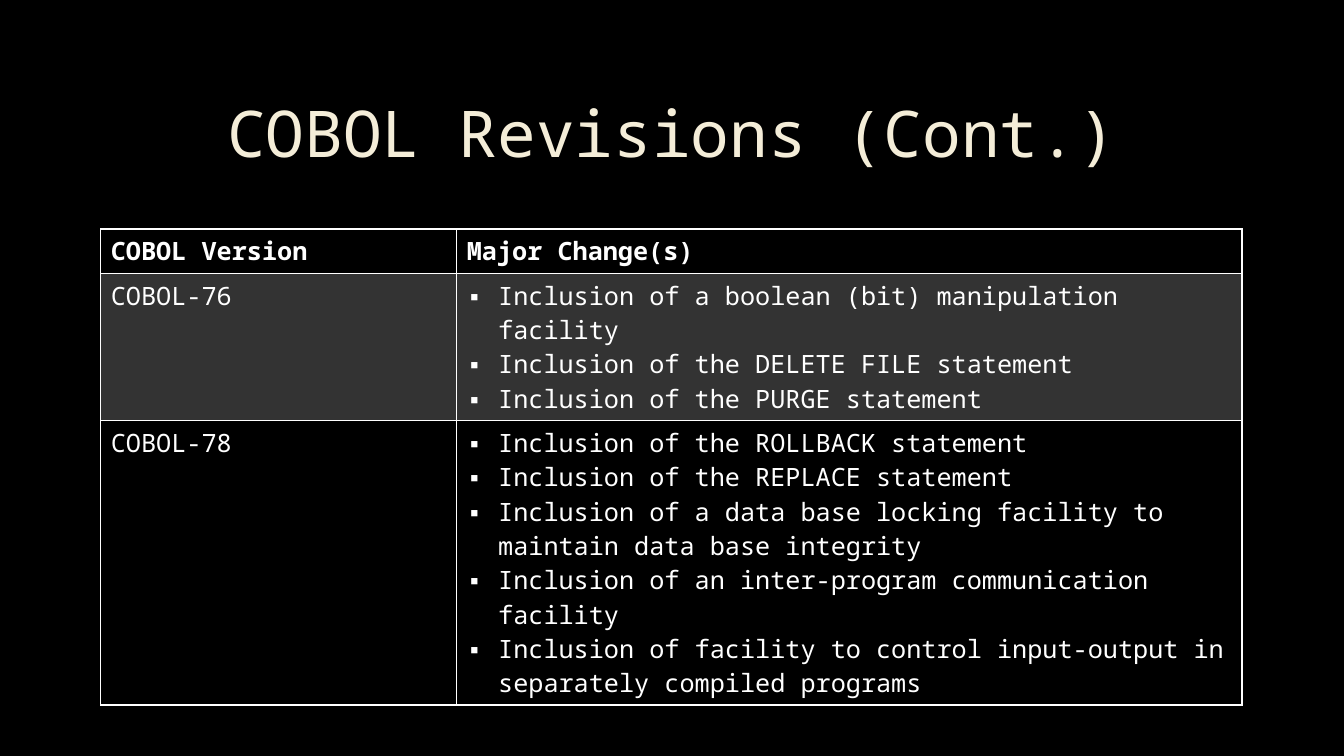
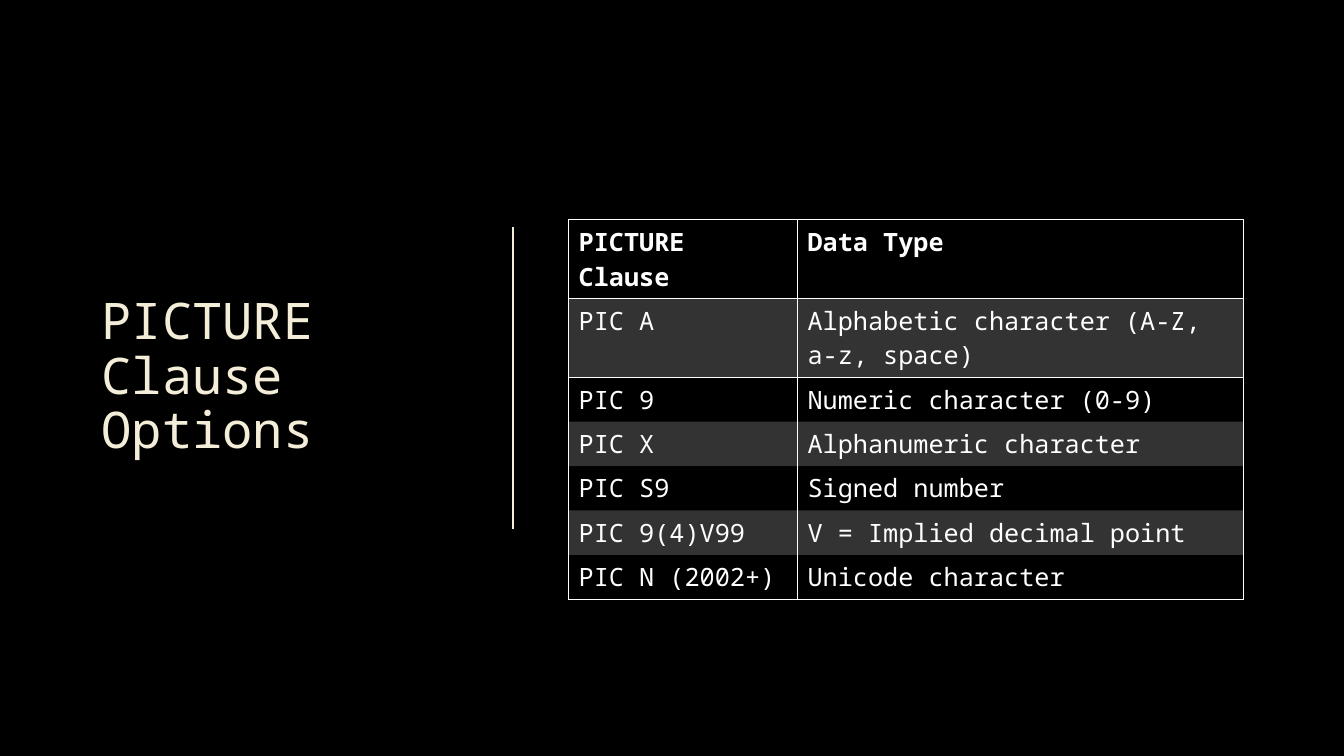
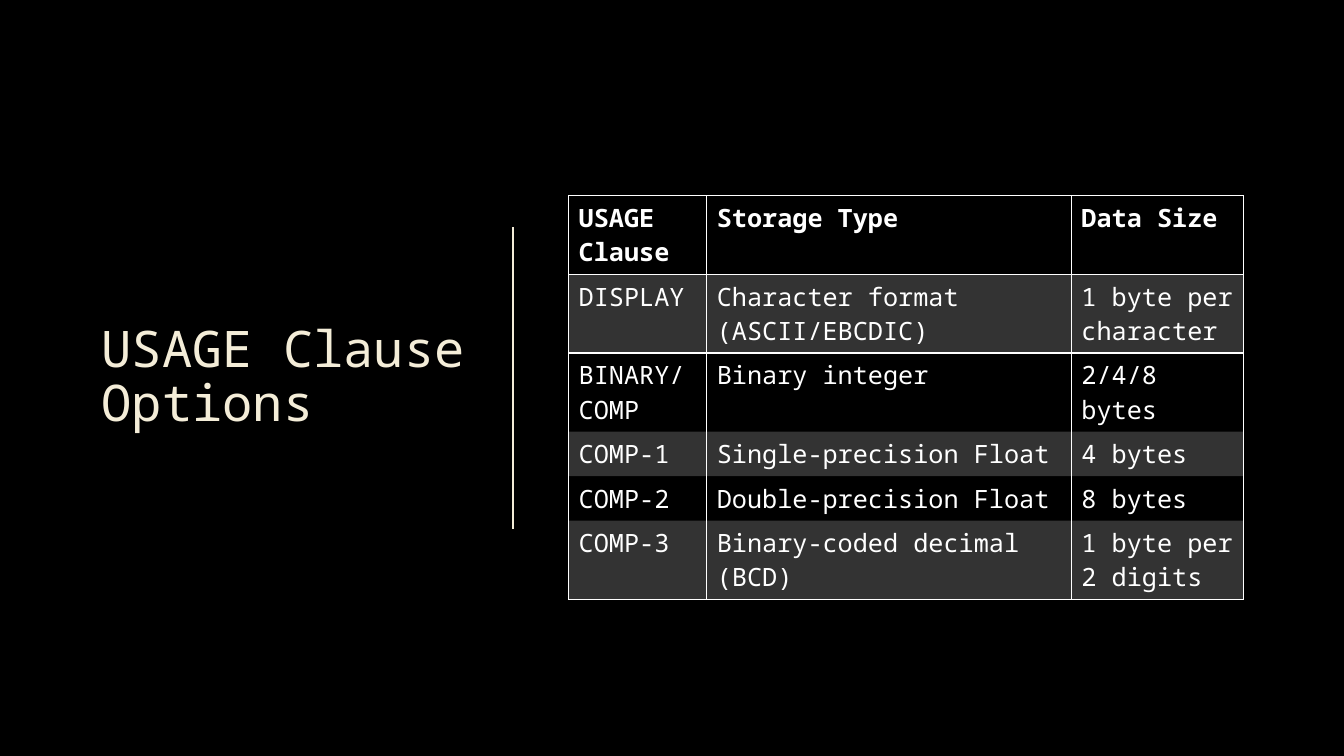
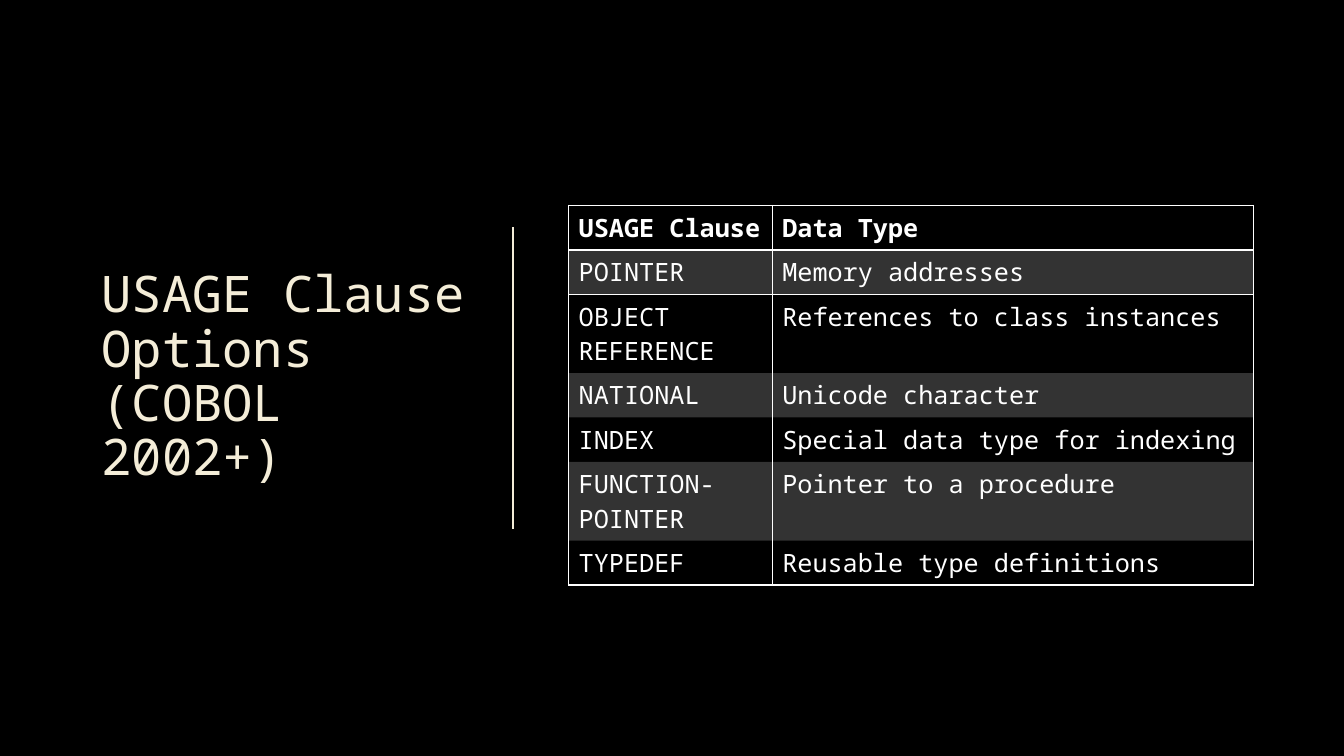
"""Build four COBOL slides, each with a title and a reference table."""
from dataclasses import dataclass
from typing import Any

import lxml.etree
import pptx
import pptx.dml.color
import pptx.enum.shapes
import pptx.enum.text
import pptx.oxml.ns
import pptx.util

Cm = pptx.util.Cm
Pt = pptx.util.Pt
qn = pptx.oxml.ns.qn
ALIGN = pptx.enum.text.PP_ALIGN

BLACK, WHITE, CREAM = "000000", "FFFFFF", "F4EDD8"
FONT = "Noto Sans Mono"
NO_STYLE = "{2D5ABB26-0587-4C30-8999-92F81FD0307C}"
ROW_HEIGHT = 1.04
BAND_ALPHA = 20
BULLET_INDENT = Cm(0.79)

TITLE_FRAME = {
    "word_wrap": True,
    "auto_size": pptx.enum.text.MSO_AUTO_SIZE.NONE,
    "vertical_anchor": pptx.enum.text.MSO_ANCHOR.MIDDLE,
}

Cell = str | tuple[str, ...]


@dataclass(frozen=True)
class Layout:
    box: tuple[float, float, float, float]
    size: int
    align: Any
    divider: bool


@dataclass(frozen=True)
class TableSlide:
    title: str
    layout: Layout
    left: float
    top: float
    widths: tuple[float, ...]
    rows: tuple[tuple[Cell, ...], ...]
    bulleted: bool = False


TOP = Layout((2.54, 1.7, 28.75, 3.5), 46, ALIGN.CENTER, False)
SIDE = Layout((2.31, 3.1, 9.68, 12.85), 36, ALIGN.LEFT, True)

SLIDES = (
    TableSlide("COBOL Revisions (Cont.)", TOP, 2.54, 5.77, (8.97, 19.79), (
        ("COBOL Version", "Major Change(s)"),
        ("COBOL-76", (
            "Inclusion of a boolean (bit) manipulation facility",
            "Inclusion of the DELETE FILE statement",
            "Inclusion of the PURGE statement",
        )),
        ("COBOL-78", (
            "Inclusion of the ROLLBACK statement",
            "Inclusion of the REPLACE statement",
            "Inclusion of a data base locking facility to maintain data base integrity",
            "Inclusion of an inter-program communication facility",
            "Inclusion of facility to control input-output in separately compiled programs",
        )),
    ), bulleted=True),
    TableSlide("PICTURE Clause Options", SIDE, 14.33, 5.54, (5.77, 11.23), (
        ("PICTURE Clause", "Data Type"),
        ("PIC A", "Alphabetic character (A-Z, a-z, space)"),
        ("PIC 9", "Numeric character (0-9)"),
        ("PIC X", "Alphanumeric character"),
        ("PIC S9", "Signed number"),
        ("PIC 9(4)V99", "V = Implied decimal point"),
        ("PIC N (2002+)", "Unicode character"),
    )),
    TableSlide("USAGE Clause Options", SIDE, 14.33, 4.93, (3.48, 9.19, 4.34), (
        ("USAGE Clause", "Storage Type", "Data Size"),
        ("DISPLAY", "Character format (ASCII/EBCDIC)", ("1 byte per", "character")),
        (("BINARY/", "COMP"), "Binary integer", "2/4/8 bytes"),
        ("COMP-1", "Single-precision Float", "4 bytes"),
        ("COMP-2", "Double-precision Float", "8 bytes"),
        ("COMP-3", "Binary-coded decimal (BCD)", "1 byte per 2 digits"),
    )),
    TableSlide("USAGE Clause Options (COBOL 2002+)", SIDE, 14.33, 5.18, (5.13, 12.12), (
        ("USAGE Clause", "Data Type"),
        ("POINTER", "Memory addresses"),
        ("OBJECT REFERENCE", "References to class instances"),
        ("NATIONAL", "Unicode character"),
        ("INDEX", "Special data type for indexing"),
        ("FUNCTION-POINTER", "Pointer to a procedure"),
        ("TYPEDEF", "Reusable type definitions"),
    )),
)


def rgb(value: str) -> pptx.dml.color.RGBColor:
    return pptx.dml.color.RGBColor.from_string(value)


def sub(parent: Any, tag: str, **attrs: Any) -> Any:
    return lxml.etree.SubElement(parent, qn(tag), {k: str(v) for k, v in attrs.items()})


def apply(target: Any, values: dict[str, Any]) -> None:
    for name, value in values.items():
        setattr(target, name, value)


def add_run(p: Any, text: str, size: int, color: str, bold: bool = False) -> None:
    r = p.add_run()
    r.text = text
    apply(r.font, {"name": FONT, "size": Pt(size), "bold": bold})
    r.font.color.rgb = rgb(color)


def add_title(s: Any, text: str, layout: Layout) -> None:
    sp = s.shapes.title
    apply(sp, dict(zip(("left", "top", "width", "height"), map(Cm, layout.box))))
    tf = sp.text_frame
    apply(tf, TITLE_FRAME)
    p = tf.paragraphs[0]
    apply(p, {"alignment": layout.align, "line_spacing": 0.9})
    add_run(p, text, layout.size, CREAM)


def add_divider(s: Any) -> None:
    line = s.shapes.add_connector(
        pptx.enum.shapes.MSO_CONNECTOR.STRAIGHT,
        Cm(12.93), Cm(5.72), Cm(12.93), Cm(13.34))
    line.line.color.rgb = rgb(CREAM)
    line.line.width = Pt(1.5)
    sub(line.element.spPr, "a:effectLst")


def add_bullet(p: Any) -> None:
    pr = p._p.get_or_add_pPr()
    pr.set("marL", str(BULLET_INDENT))
    pr.set("indent", str(-BULLET_INDENT))
    sub(pr, "a:buFont", typeface=FONT)
    sub(pr, "a:buChar", char="▪")


def set_borders(cell: Any, sides: str) -> None:
    pr = cell._tc.get_or_add_tcPr()
    for side in sides:
        ln = sub(pr, f"a:ln{side}", w=Pt(1))
        sub(sub(ln, "a:solidFill"), "a:srgbClr", val=WHITE)


def set_fill(cell: Any, banded: bool) -> None:
    if not banded:
        cell.fill.background()
        return
    cell.fill.solid()
    cell.fill.fore_color.rgb = rgb(WHITE)
    clr = next(cell._tc.tcPr.find(qn("a:solidFill")).iter(qn("a:srgbClr")))
    sub(clr, "a:alpha", val=BAND_ALPHA * 1000)


def fill_cell(cell: Any, content: Cell, bold: bool, bulleted: bool) -> None:
    lines = (content,) if isinstance(content, str) else content
    tf = cell.text_frame
    for i, text in enumerate(lines):
        p = tf.add_paragraph() if i else tf.paragraphs[0]
        if bulleted and len(lines) > 1:
            add_bullet(p)
        add_run(p, text, 18, WHITE, bold)


def add_table(s: Any, item: TableSlide) -> None:
    n = len(item.rows)
    frame = s.shapes.add_table(
        n, len(item.widths), Cm(item.left), Cm(item.top),
        Cm(sum(item.widths)), Cm(n * ROW_HEIGHT))
    next(frame.element.iter(qn("a:tableStyleId"))).text = NO_STYLE
    table = frame.table
    apply(table, {"first_row": False, "horz_banding": False})
    for column, width in zip(table.columns, item.widths):
        column.width = Cm(width)
    for i, row in enumerate(item.rows):
        sides = "LRTB" if i == 0 else "LRB" if i == n - 1 else "LR"
        if i == 1:
            sides = "LRT"
        for j, content in enumerate(row):
            cell = table.cell(i, j)
            fill_cell(cell, content, i == 0, item.bulleted)
            set_borders(cell, sides)
            set_fill(cell, i % 2 == 1)


def main() -> None:
    prs = pptx.Presentation()
    apply(prs, {"slide_width": Cm(33.87), "slide_height": Cm(19.05)})
    fill = prs.slide_master.background.fill
    fill.solid()
    fill.fore_color.rgb = rgb(BLACK)
    for item in SLIDES:
        s = prs.slides.add_slide(prs.slide_layouts[5])
        add_title(s, item.title, item.layout)
        if item.layout.divider:
            add_divider(s)
        add_table(s, item)
    prs.save("out.pptx")


if __name__ == "__main__":
    main()
